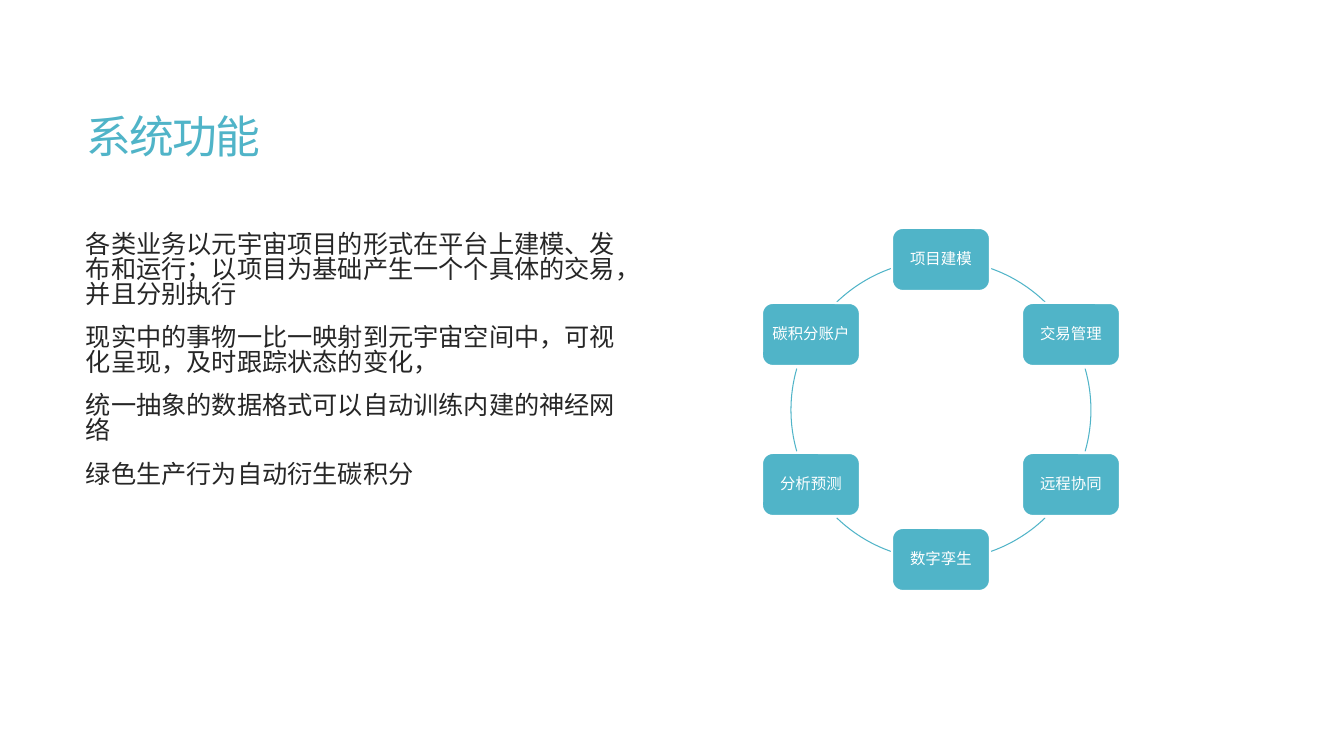
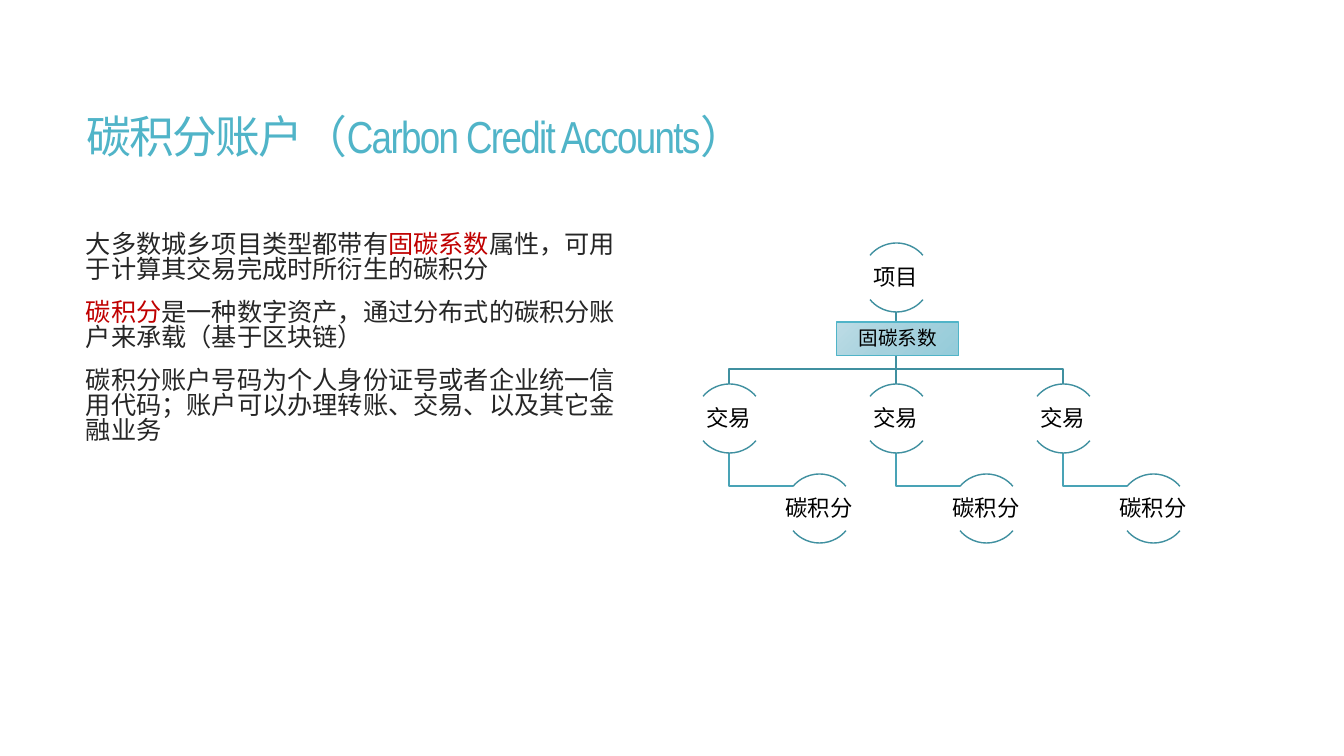
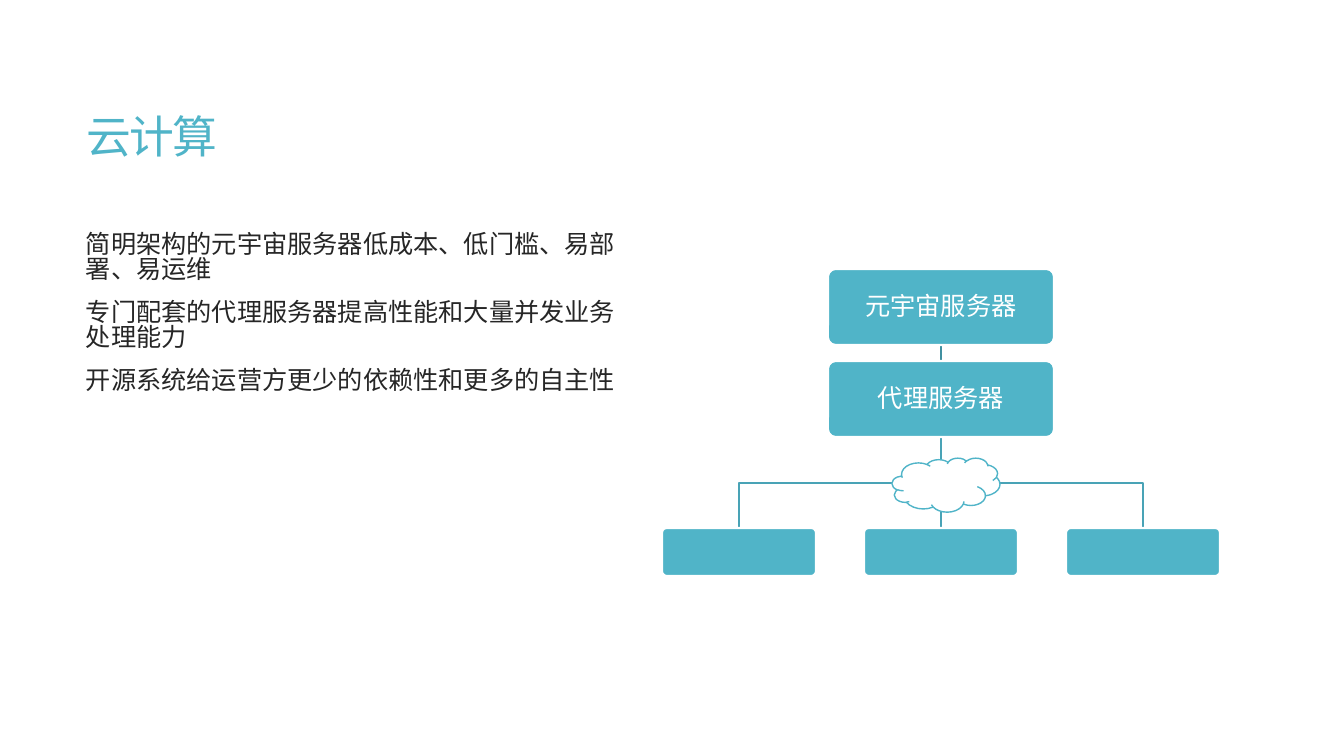
from copy import deepcopy
from math import cos, radians, sin

from lxml.etree import SubElement
from pptx import Presentation
from pptx.dml.color import RGBColor
from pptx.enum.shapes import MSO_CONNECTOR, MSO_SHAPE
from pptx.enum.text import MSO_ANCHOR, MSO_AUTO_SIZE, PP_ALIGN
from pptx.oxml.ns import qn
from pptx.util import Pt

EMU_PER_PX = 914400 / 100.8
LATIN_FONT = "Arial Narrow"
CHINESE_FONT = "Noto Sans CJK SC"
COLORS = {
    "accent": "50B4C8",
    "line": "49A3B6",
    "dark_line": "4090A0",
    "body": "262626",
    "highlight": "C00000",
    "black": "000000",
    "white": "FFFFFF",
    "gradient_start": "BDDCE5",
    "gradient_middle": "A5D1DD",
    "gradient_end": "94CBD9",
}


def px(*lengths):
    """Turn pixel lengths into a list of EMU lengths."""
    return [round(length * EMU_PER_PX) for length in lengths]


def rgb(color):
    return RGBColor.from_string(COLORS[color])


def add_run(paragraph, text, size, color):
    run = paragraph.add_run()
    run.text = text
    run.font.size = Pt(size)
    run.font.color.rgb = rgb(color)
    run.font.name = LATIN_FONT
    properties = run.font._element
    SubElement(properties, qn("a:ea")).set("typeface", CHINESE_FONT)
    return run


def set_outline(shape, color, width):
    shape.shadow.inherit = False
    shape.line.color.rgb = rgb(color)
    shape.line.width = Pt(width)


def set_label(shape, text, size, color):
    """Centre one line of text in a shape or text box."""
    frame = shape.text_frame
    frame.word_wrap = True
    frame.vertical_anchor = MSO_ANCHOR.MIDDLE
    frame.margin_left = frame.margin_right = 0
    frame.margin_top = frame.margin_bottom = 0
    paragraph = frame.paragraphs[0]
    paragraph.alignment = PP_ALIGN.CENTER
    paragraph.line_spacing = 0.9
    add_run(paragraph, text, size, color)


def add_titled_slide(presentation, title_text, body_paragraphs):
    """Add a slide with its title and the text column on the left."""
    slide = presentation.slides.add_slide(presentation.slide_layouts[5])
    title = slide.shapes.title
    title.left, title.top, title.width, title.height = px(76, 76, 1146, 128)
    frame = title.text_frame
    frame.auto_size = MSO_AUTO_SIZE.NONE
    frame.vertical_anchor = MSO_ANCHOR.MIDDLE
    paragraph = frame.paragraphs[0]
    paragraph.alignment = PP_ALIGN.LEFT
    paragraph.line_spacing = 0.85
    run = add_run(paragraph, title_text, 32, "accent")
    run.font._element.set("spc", "-120")

    frame = slide.shapes.add_textbox(*px(76, 228, 561, 365)).text_frame
    frame.word_wrap = True
    for index, runs in enumerate(body_paragraphs):
        paragraph = frame.add_paragraph() if index else frame.paragraphs[0]
        paragraph.line_spacing = 0.83
        if index:
            paragraph.space_before = Pt(13)
        for text, color in runs:
            add_run(paragraph, text, 18, color)
    return slide


def add_box(slide, center_x, top, width, height, text="", size=18, rounding=0.1):
    left = center_x - width / 2
    box = slide.shapes.add_shape(
        MSO_SHAPE.ROUNDED_RECTANGLE, *px(left, top, width, height))
    box.adjustments[0] = rounding
    box.fill.solid()
    box.fill.fore_color.rgb = rgb("accent")
    set_outline(box, "white", 1.5)
    if text:
        set_label(box, text, size, "white")
    return box


def add_arc(slide, left, top, diameter, start, end, color, width):
    """Draw a circular arc, angles in degrees clockwise from the right."""
    arc = slide.shapes.add_shape(
        MSO_SHAPE.ARC, *px(left, top, diameter, diameter))
    for index, angle in enumerate((start, end)):
        angle = (angle + 180) % 360 - 180
        arc.adjustments[index] = (angle % 360) * 0.6
    arc.fill.background()
    set_outline(arc, color, width)


def add_line(slide, start, end, color):
    line = slide.shapes.add_connector(
        MSO_CONNECTOR.STRAIGHT, *px(*start, *end))
    line.line.color.rgb = rgb(color)
    line.line.width = Pt(1)
    SubElement(line._element.spPr, qn("a:effectLst"))
    return line


def add_bent_line(slide, points, color):
    start, *others = [px(*point) for point in points]
    builder = slide.shapes.build_freeform(*start)
    builder.add_line_segments(others, close=False)
    bent_line = builder.convert_to_shape()
    bent_line.fill.background()
    set_outline(bent_line, color, 1)


def add_tree_node(slide, center_x, center_y, text):
    """Label a tree node between an upper and a lower arc."""
    for start, end in ((220, 320), (40, 140)):
        add_arc(slide, center_x - 34, center_y - 34, 69, start, end,
                "dark_line", 1)
    label = slide.shapes.add_textbox(
        *px(center_x - 69, center_y - 21, 138, 44))
    set_label(label, text, 16, "black")


def add_gradient_label(slide, text):
    label = slide.shapes.add_shape(
        MSO_SHAPE.RECTANGLE, *px(837, 322, 122, 34))
    set_outline(label, "accent", 0.75)
    label.fill.gradient()
    label.fill.gradient_angle = 315
    stop_list = label._element.xpath(".//a:gsLst")[0]
    stop_list.insert(1, deepcopy(stop_list[0]))
    names = ("gradient_start", "gradient_middle", "gradient_end")
    for index, (stop, name) in enumerate(zip(label.fill.gradient_stops, names)):
        stop.position = index / 2
        stop.color.rgb = rgb(name)
    set_label(label, text, 14, "black")


def add_functions_slide(presentation):
    slide = add_titled_slide(presentation, "系统功能", [
        [("各类业务以元宇宙项目的形式在平台上建模、发布和运行；"
          "以项目为基础产生一个个具体的交易，并且分别执行", "body")],
        [("现实中的事物一比一映射到元宇宙空间中，可视化呈现，"
          "及时跟踪状态的变化，", "body")],
        [("统一抽象的数据格式可以自动训练内建的神经网络", "body")],
        [("绿色生产行为自动衍生碳积分", "body")],
    ])
    center_x, center_y, radius = 941, 410, 150
    for half_turn in (0, 180):
        for start, end in ((19, 44), (74, 106), (136, 161)):
            add_arc(slide, center_x - radius, center_y - radius, 2 * radius,
                    start + half_turn - 90, end + half_turn - 90,
                    "accent", 0.75)
    functions = ("项目建模", "交易管理", "远程协同",
                 "数字孪生", "分析预测", "碳积分账户")
    for index, text in enumerate(functions):
        angle = radians(index * 360 / len(functions))
        node_x = round(center_x + radius * sin(angle))
        node_y = round(center_y - radius * cos(angle))
        add_box(slide, node_x, node_y - 32, 98, 63, text, 11, 0.17)


def add_accounts_slide(presentation):
    slide = add_titled_slide(
        presentation, "碳积分账户（Carbon Credit Accounts）", [
            [("大多数城乡项目类型都带有", "body"), ("固碳系数", "highlight"),
             ("属性，可用于计算其交易完成时所衍生的碳积分", "body")],
            [("碳积分", "highlight"),
             ("是一种数字资产，通过分布式的碳积分账户来承载（基于区块链）", "body")],
            [("碳积分账户号码为个人身份证号或者企业统一信用代码；"
              "账户可以办理转账、交易、以及其它金融业务", "body")],
        ])
    project_x, project_y = 896, 277
    trade_y, credit_y = 418, 508
    trade_columns = [project_x + step * 167 for step in (-1, 0, 1)]
    for x in trade_columns:
        if x == project_x:
            add_line(slide, (x, 312), (x, 384), "dark_line")
        else:
            add_bent_line(slide, [(project_x, 312), (project_x, 369),
                                  (x, 369), (x, 384)], "dark_line")
        add_bent_line(slide, [(x, 453), (x, 486), (x + 64, 486)], "line")
    add_tree_node(slide, project_x, project_y, "项目")
    for x in trade_columns:
        add_tree_node(slide, x, trade_y, "交易")
        add_tree_node(slide, x + 90, credit_y, "碳积分")
    add_gradient_label(slide, "固碳系数")


def add_cloud_slide(presentation):
    slide = add_titled_slide(presentation, "云计算", [
        [("简明架构的元宇宙服务器低成本、低门槛、易部署、易运维", "body")],
        [("专门配套的代理服务器提高性能和大量并发业务处理能力", "body")],
        [("开源系统给运营方更少的依赖性和更多的自主性", "body")],
    ])
    center_x, client_step = 941, 202
    server_top, proxy_top, client_top = 269, 361, 528
    server_bottom, proxy_bottom = server_top + 76, proxy_top + 76
    server_link = add_line(slide, (center_x, server_bottom),
                           (center_x, proxy_top), "dark_line")
    client_link = add_line(slide, (center_x, proxy_bottom),
                           (center_x, client_top), "line")
    client_columns = [center_x + step * client_step for step in (-1, 0, 1)]
    for x in (client_columns[0], client_columns[2]):
        add_bent_line(slide, [(center_x, proxy_bottom), (center_x, 483),
                              (x, 483), (x, client_top)], "line")
    server = add_box(slide, center_x, server_top, 226, 76, "元宇宙服务器")
    proxy = add_box(slide, center_x, proxy_top, 226, 76, "代理服务器")
    clients = [add_box(slide, x, client_top, 154, 48) for x in client_columns]
    server_link.begin_connect(server, 2)
    server_link.end_connect(proxy, 0)
    client_link.begin_connect(proxy, 2)
    client_link.end_connect(clients[1], 0)

    cloud = slide.shapes.add_shape(MSO_SHAPE.CLOUD, *px(892, 458, 108, 54))
    cloud.fill.solid()
    cloud.fill.fore_color.rgb = rgb("white")
    set_outline(cloud, "accent", 1)


def main():
    presentation = Presentation()
    presentation.slide_width, presentation.slide_height = px(1344, 756)
    add_functions_slide(presentation)
    add_accounts_slide(presentation)
    add_cloud_slide(presentation)
    presentation.save("out.pptx")


if __name__ == "__main__":
    main()
